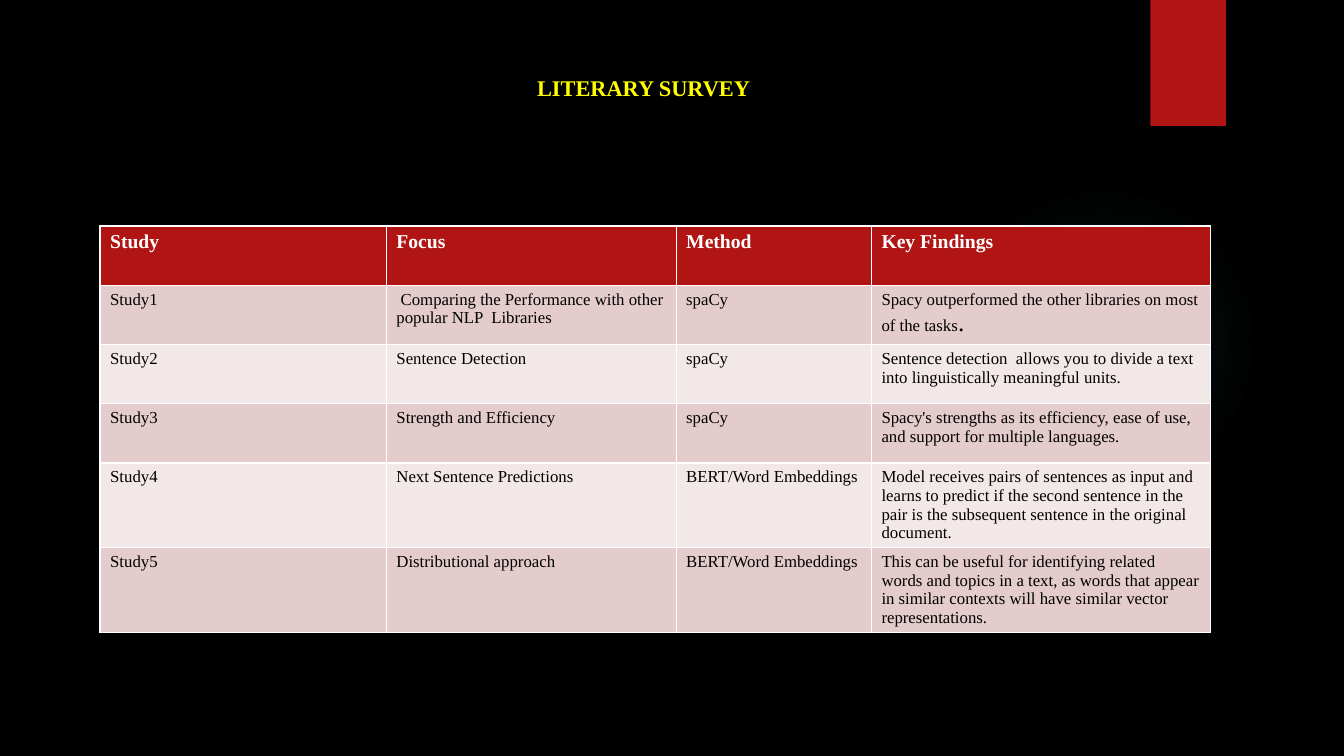
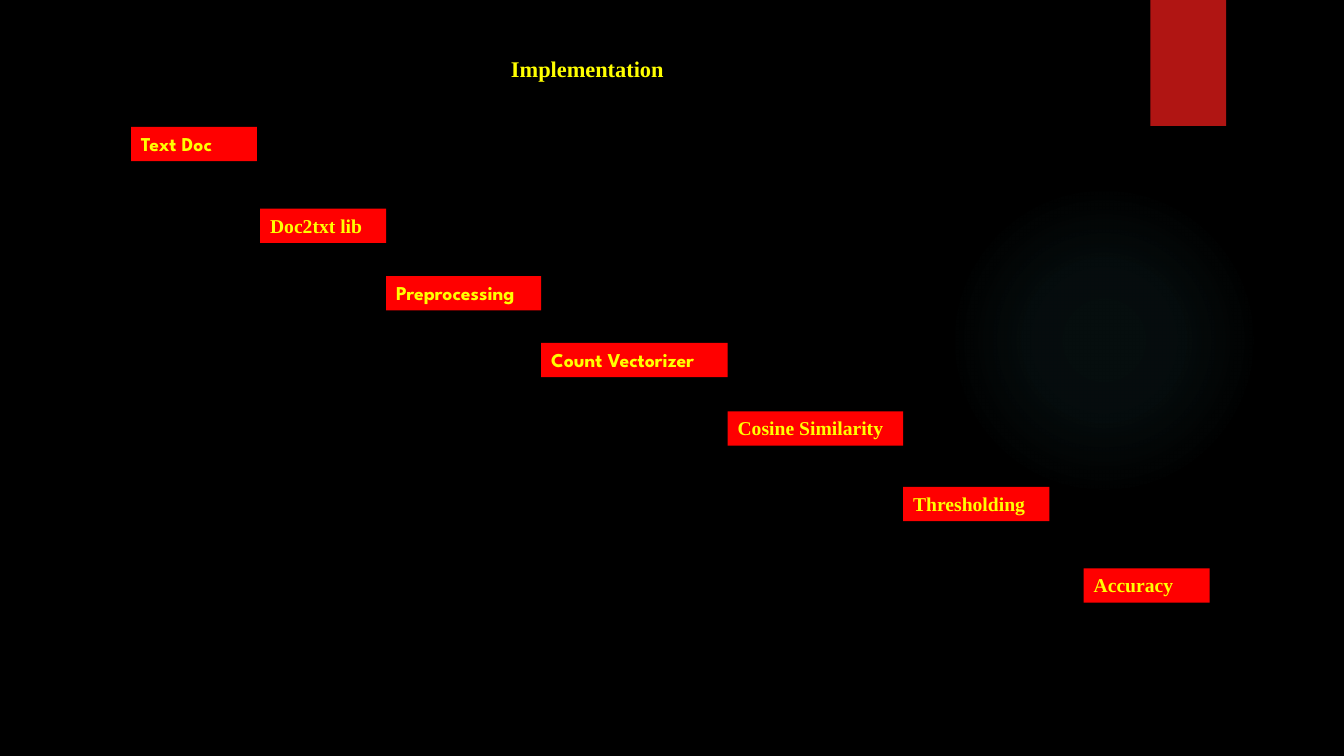
from lxml import etree
from pptx import Presentation
from pptx.dml.color import RGBColor
from pptx.enum.shapes import MSO_SHAPE
from pptx.enum.text import MSO_ANCHOR, MSO_AUTO_SIZE, PP_ALIGN
from pptx.oxml.ns import qn
from pptx.util import Pt

RECTANGLE, OVAL = MSO_SHAPE.RECTANGLE, MSO_SHAPE.OVAL
TOP, CENTER = MSO_ANCHOR.TOP, PP_ALIGN.CENTER
GROW = MSO_AUTO_SIZE.SHAPE_TO_FIT_TEXT
TITLE_ONLY = 5

# Shared look
BLACK, WHITE, YELLOW = "000000", "FFFFFF", "FFFF00"
BRAND_RED, BOX_RED, GLOW = "B01513", "FF0000", "50B9C1"
BAND_FILLS = ("E4CCCC", "F2E8E7")
SERIF, SPARTAN = "Times New Roman", "League Spartan"
GLOW_STOPS = [(0, 7), (36, 6), (69, 0)]  # position %, opacity %

# Slide 1 content
SURVEY_HEADER = ("Study", "Focus", "Method", "Key Findings")
SURVEY_ROWS = [
    ("Study1", " Comparing the Performance with other popular NLP  Libraries", "spaCy",
     "Spacy outperformed the other libraries on most of the tasks"),
    ("Study2", "Sentence Detection", "spaCy",
     "Sentence detection  allows you to divide a text into linguistically "
     "meaningful units."),
    ("Study3", "Strength and Efficiency", "spaCy",
     "Spacy's strengths as its efficiency, ease of use, and support for "
     "multiple languages."),
    ("Study4", "Next Sentence Predictions", "BERT/Word Embeddings",
     "Model receives pairs of sentences as input and learns to predict if the "
     "second sentence in the pair is the subsequent sentence in the original document."),
    ("Study5", "Distributional approach", "BERT/Word Embeddings",
     "This can be useful for identifying related words and topics in a text, as "
     "words that appear in similar contexts will have similar vector representations."),
]
COLUMN_WIDTHS = (204.5, 207, 139.5, 242.5)
ROW_HEIGHT = 42.3

# Slide 2 content: label, font, gap after the previous box, top, width
STEPS = [
    ("Text Doc", SPARTAN, 0, 90.7, 90),
    ("Doc2txt lib", SERIF, 2.2, 149, 90),
    ("Preprocessing", SPARTAN, 0, 197.2, 110.8),
    ("Count Vectorizer", SPARTAN, 0, 245, 133.2),
    ("Cosine Similarity", SERIF, 0, 293.8, 125.3),
    ("Thresholding", SERIF, 0, 347.8, 104.4),
    ("Accuracy", SERIF, 24.6, 406, 90),
]
STEPS_LEFT, STEP_HEIGHT = 93.6, 24.5


def color(hex_value):
    return RGBColor.from_string(hex_value)


def style(paragraph, size, hex_value, bold=False, name=SERIF):
    font = paragraph.font
    font.size, font.bold, font.name = Pt(size), bold, name
    font.color.rgb = color(hex_value)


def add_box(slide, kind, left, top, width, height, fill):
    shape = slide.shapes.add_shape(kind, Pt(left), Pt(top), Pt(width), Pt(height))
    shape.shadow.inherit = False
    shape.fill.solid()
    shape.fill.fore_color.rgb = color(fill)
    shape.line.fill.background()
    return shape


def fill_with_glow(shape):
    """Swap the solid fill for a round gradient that fades outwards."""
    gradient = etree.Element(qn("a:gradFill"))
    stops = etree.SubElement(gradient, qn("a:gsLst"))
    for position, opacity in GLOW_STOPS:
        stop = etree.SubElement(stops, qn("a:gs"), pos=str(position * 1000))
        tint = etree.SubElement(stop, qn("a:srgbClr"), val=GLOW)
        etree.SubElement(tint, qn("a:alpha"), val=str(opacity * 1000))
    circle = etree.SubElement(gradient, qn("a:path"), {"path": "circle"})
    etree.SubElement(circle, qn("a:fillToRect"),
                     {side: "50000" for side in "ltrb"})
    solid = shape.element.find(".//" + qn("a:solidFill"))
    solid.getparent().replace(solid, gradient)


def decorate_layout(layout, slide):
    """Give the layout its background, glow and red tab."""
    layout.background.fill.solid()
    layout.background.fill.fore_color.rgb = color(BLACK)
    glow = add_box(slide, OVAL, 677.5, 131.8, 221.8, 221.8, GLOW)
    fill_with_glow(glow)
    tab = add_box(slide, RECTANGLE, 821.8, 0, 54, 90, BRAND_RED)
    for shape in (glow, tab):
        layout.shapes.element.append(shape.element)


def set_title(slide, text, left, top, width, height):
    title = slide.shapes.title
    title.left, title.top, title.width, title.height = map(Pt, (left, top, width, height))
    frame = title.text_frame
    frame.text = text
    frame.vertical_anchor = TOP
    paragraph = frame.paragraphs[0]
    paragraph.alignment = CENTER
    style(paragraph, 16, YELLOW, bold=True)


def add_survey_table(slide):
    rows = [SURVEY_HEADER] + SURVEY_ROWS
    table = slide.shapes.add_table(
        len(rows), len(COLUMN_WIDTHS), Pt(71.5), Pt(161.5),
        Pt(sum(COLUMN_WIDTHS)), Pt(ROW_HEIGHT * len(rows))).table
    for column, width in zip(table.columns, COLUMN_WIDTHS):
        column.width = Pt(width)
    for row_index, row in enumerate(rows):
        table.rows[row_index].height = Pt(ROW_HEIGHT)
        header = row_index == 0
        fill = BRAND_RED if header else BAND_FILLS[(row_index - 1) % 2]
        for column_index, text in enumerate(row):
            cell = table.cell(row_index, column_index)
            cell.text = text
            cell.fill.solid()
            cell.fill.fore_color.rgb = color(fill)
            style(cell.text_frame.paragraphs[0], 14 if header else 12,
                  WHITE if header else BLACK, bold=header)
    # The first finding ends with a larger full stop
    full_stop = table.cell(1, 3).text_frame.paragraphs[0].add_run()
    full_stop.text = "."
    full_stop.font.size = Pt(18)


def add_steps(slide):
    left = STEPS_LEFT
    for label, font_name, gap, top, width in STEPS:
        left += gap
        box = add_box(slide, RECTANGLE, left, top, width, STEP_HEIGHT, BOX_RED)
        frame = box.text_frame
        frame.text = label
        frame.word_wrap = True
        frame.auto_size = GROW
        frame.vertical_anchor = TOP
        paragraph = frame.paragraphs[0]
        paragraph.alignment = PP_ALIGN.LEFT
        style(paragraph, 14, YELLOW, bold=True, name=font_name)
        left += width


def main():
    presentation = Presentation()
    presentation.slide_width, presentation.slide_height = Pt(960), Pt(540)
    layout = presentation.slide_layouts[TITLE_ONLY]

    survey = presentation.slides.add_slide(layout)
    decorate_layout(layout, survey)
    set_title(survey, "LITERARY SURVEY", 90, 49, 739.5, 52)
    add_survey_table(survey)

    implementation = presentation.slides.add_slide(layout)
    set_title(implementation, "Implementation", 49, 36, 741, 110)
    add_steps(implementation)

    presentation.save("out.pptx")


if __name__ == "__main__":
    main()
